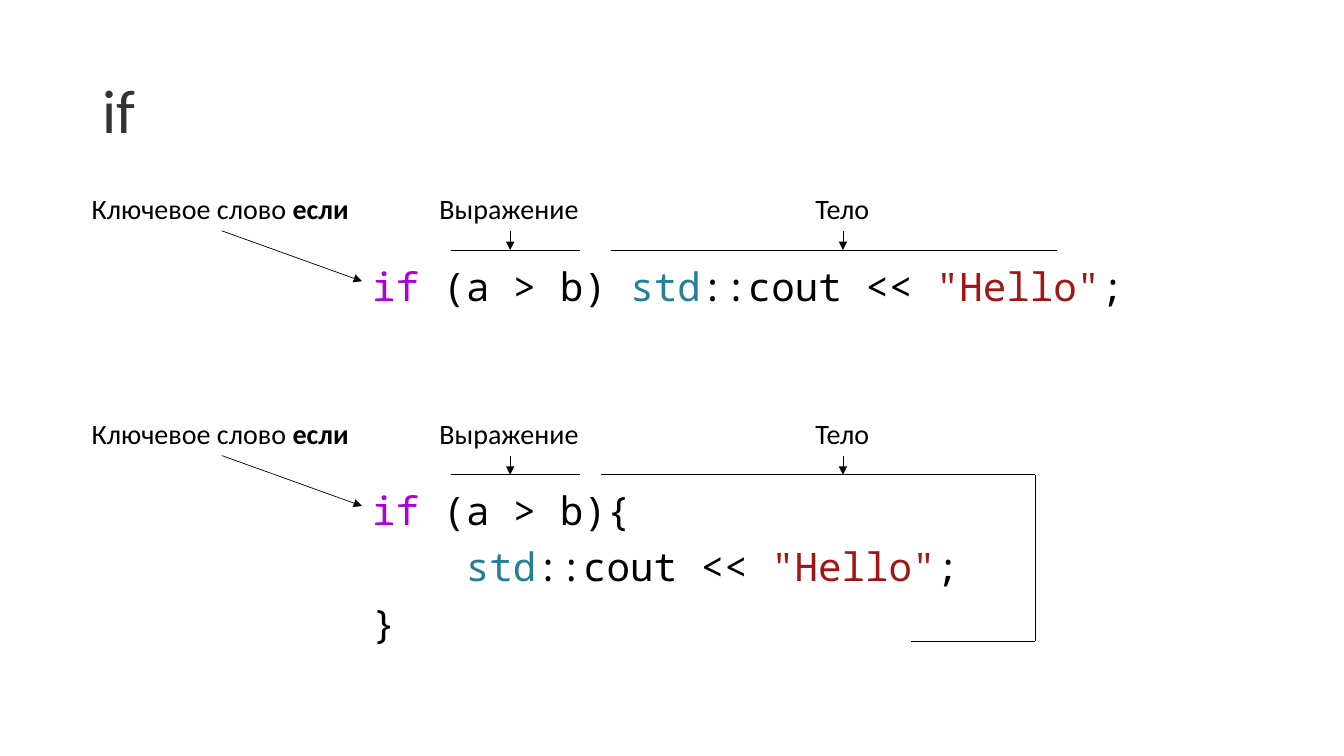
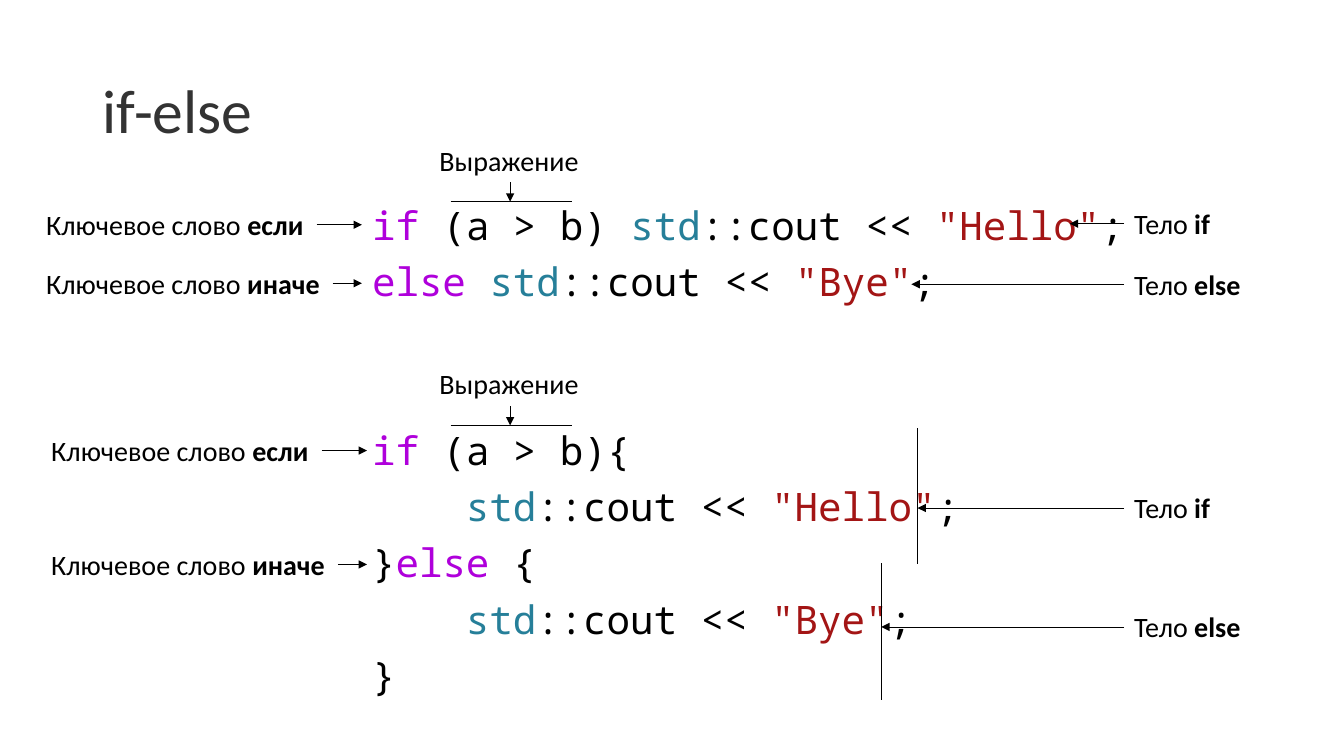
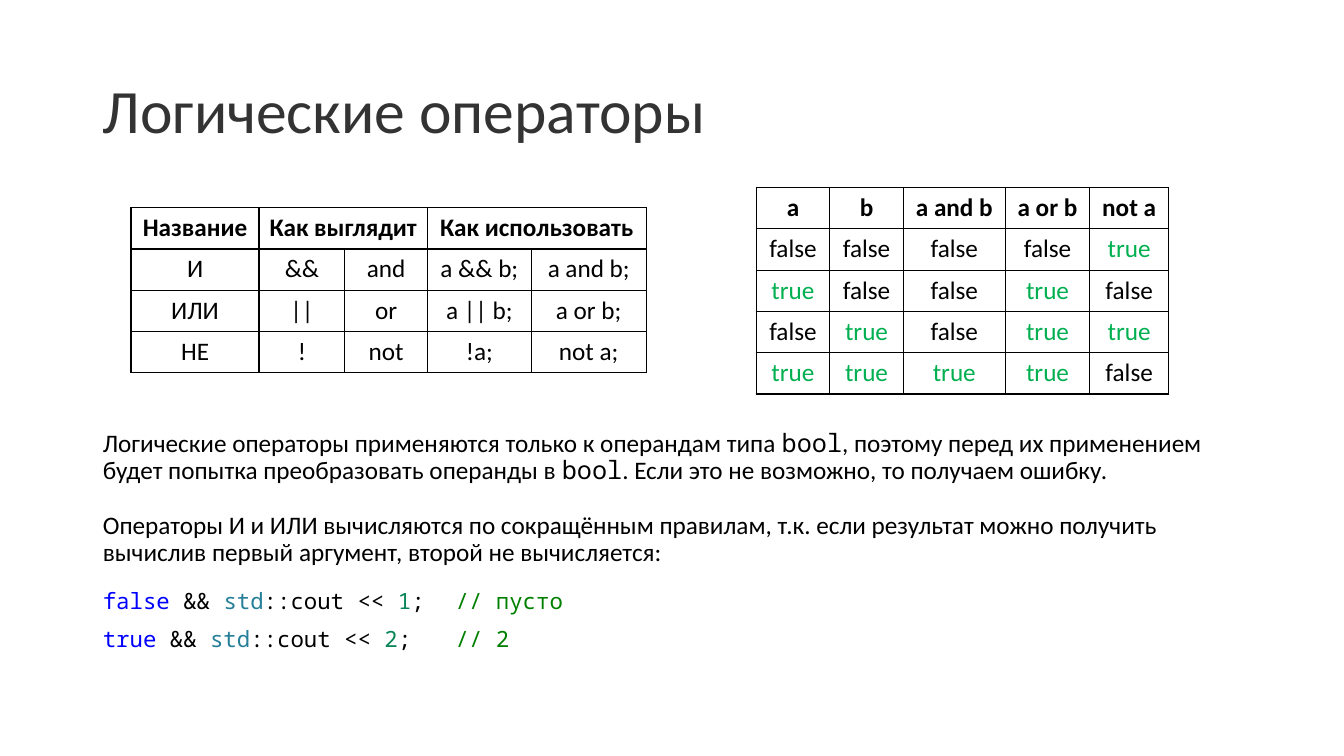
from dataclasses import dataclass

from lxml import etree
from pptx import Presentation
from pptx.dml.color import RGBColor
from pptx.enum import shapes as sh, text as tx
from pptx.oxml.ns import qn
from pptx.util import Inches, Pt

COLORS = {
    "ink": "000000", "title": "333333", "key": "AF00DB", "type": "267F99",
    "str": "A31515", "bool": "0000FF", "num": "098658", "note": "008000",
    "true": "00B050",
}
SANS, MONO = "Calibri", "Noto Sans Mono"
BOTTOM, LEFT, RIGHT = 2, 1, 3  # connection sites of a box
HIGH = 0.44  # label height
EXPR = 4.26  # left edge of the expression labels
TAB = 3.33  # column of the code comments
WIDTHS = {
    "Ключевое слово если": 2.78, "Ключевое слово иначе": 2.94,
    "Выражение": 1.6, "Тело": 0.74, "Тело if": 0.95, "Тело else": 1.26,
}


@dataclass
class Run:
    text: str
    color: str = "ink"
    font: str = MONO


@dataclass
class Line:
    runs: list[Run]
    size: float = 28
    before: float = 10
    after: float = 0
    indent: float = 0
    tab: float = 0


@dataclass
class Label:
    text: str
    bold: str
    left: float
    top: float
    side: int
    tip: tuple[float, float]


@dataclass
class Grid:
    left: float
    top: float
    cols: list[float]
    rows: list[list[str]]
    spans: list[int]  # header columns joined with the next one


# Text
def put(par, text: str, *, size: float, font: str = SANS,
        color: str = "ink", bold: bool = False) -> None:
    run = par.add_run()
    run.text = text
    run.font.size, run.font.name, run.font.bold = Pt(size), font, bold
    run.font.color.rgb = RGBColor.from_string(COLORS[color])


def place(shape, left: float, top: float, wide: float, high: float) -> None:
    shape.left, shape.top = Inches(left), Inches(top)
    shape.width, shape.height = Inches(wide), Inches(high)


def start(deck, title: str):
    slide = deck.slides.add_slide(deck.slide_layouts[1])
    head = slide.shapes.title
    place(head, 0.92, 0.4, 11.5, 1.45)
    head.text_frame.vertical_anchor = tx.MSO_ANCHOR.MIDDLE
    head.text_frame.auto_size = tx.MSO_AUTO_SIZE.NONE
    par = head.text_frame.paragraphs[0]
    par.alignment, par.line_spacing = tx.PP_ALIGN.LEFT, 0.9
    put(par, title, size=44, color="title")
    return slide


def fill(slide, left: float, top: float, lines: list[Line]) -> None:
    body = slide.placeholders[1]
    place(body, left, top, 12.42 - left, 6.76 - top)
    frame = body.text_frame
    frame.auto_size = tx.MSO_AUTO_SIZE.NONE
    for i, line in enumerate(lines):
        par = frame.add_paragraph() if i else frame.paragraphs[0]
        par.line_spacing = 0.9
        par.space_before, par.space_after = Pt(line.before), Pt(line.after)
        props = par._p.get_or_add_pPr()
        props.set("marL", str(Inches(line.indent)))
        props.set("indent", "0")
        etree.SubElement(props, qn("a:buNone"))
        if line.tab:
            stops = etree.SubElement(props, qn("a:tabLst"))
            etree.SubElement(stops, qn("a:tab"),
                             pos=str(Inches(line.tab)), algn="l")
        for run in line.runs:
            put(par, run.text, size=line.size, font=run.font, color=run.color)


# Lines and labels
def rule(slide, x1: float, y1: float, x2: float, y2: float,
         arrow: bool = False):
    wire = slide.shapes.add_connector(
        sh.MSO_CONNECTOR.STRAIGHT, *(Inches(v) for v in (x1, y1, x2, y2)))
    wire.line.color.rgb = RGBColor.from_string(COLORS["ink"])
    wire.line.width = Pt(0.5)
    if arrow:
        etree.SubElement(wire.line._get_or_add_ln(), qn("a:tailEnd"),
                         type="triangle")
    etree.SubElement(wire._element.spPr, qn("a:effectLst"))
    return wire


def point(slide, label: Label) -> None:
    wide = WIDTHS[label.text + label.bold]
    box = slide.shapes.add_textbox(*(
        Inches(v) for v in (label.left, label.top, wide, HIGH)))
    frame = box.text_frame
    frame.word_wrap = False
    frame.auto_size = tx.MSO_AUTO_SIZE.SHAPE_TO_FIT_TEXT
    par = frame.paragraphs[0]
    put(par, label.text, size=20)
    if label.bold:
        put(par, label.bold, size=20, bold=True)
    wire = rule(slide, label.left, label.top, *label.tip, arrow=True)
    wire.begin_connect(box, label.side)


def key(word: str, left: float, top: float, side: int,
        tip: tuple[float, float]) -> Label:
    return Label("Ключевое слово ", word, left, top, side, tip)


def expr(slide, top: float, end: float) -> None:
    base = top + 0.63
    point(slide, Label("Выражение", "", EXPR, top, BOTTOM, (EXPR + 0.8, base)))
    rule(slide, 4.47, base, end, base)


# Tables
def table(slide, grid: Grid) -> None:
    step = 0.41
    tab = slide.shapes.add_table(
        len(grid.rows), len(grid.cols), Inches(grid.left), Inches(grid.top),
        Inches(sum(grid.cols)), Inches(step * len(grid.rows))).table
    tab.first_row = tab.horz_banding = False
    for col, wide in zip(tab.columns, grid.cols):
        col.width = Inches(wide)
    for i, row in enumerate(grid.rows):
        tab.rows[i].height = Inches(step)
        for j, word in enumerate(row):
            cell = tab.cell(i, j)
            frame(cell)
            if word:
                par = cell.text_frame.paragraphs[0]
                par.alignment = tx.PP_ALIGN.CENTER
                put(par, word, size=18, bold=i == 0,
                    color="true" if word == "true" else "ink")
    for j in grid.spans:
        tab.cell(0, j).merge(tab.cell(0, j + 1))


def frame(cell) -> None:
    props = cell._tc.get_or_add_tcPr()
    for side in ("lnL", "lnR", "lnT", "lnB"):
        edge = etree.SubElement(props, qn("a:" + side), w=str(Pt(1)))
        paint = etree.SubElement(edge, qn("a:solidFill"))
        etree.SubElement(paint, qn("a:srgbClr"), val=COLORS["ink"])
    cell.fill.background()


# Code fragments
def cout(value: str, color: str = "str") -> list[Run]:
    return [Run("std", "type"), Run("::cout << "), Run(value, color), Run(";")]


def test(tail: str) -> list[Run]:
    return [Run("if", "key"), Run(" (a > b)" + tail)]


def inner(value: str) -> Line:
    return Line(cout(value), indent=0.93)


def demo(word: str, value: str, note: str) -> Line:
    runs = [Run(word, "bool"), Run(" && "), *cout(value, "num"),
            Run("\t" + note, "note")]
    return Line(runs, size=16, tab=TAB)


# Slides
def plain(deck) -> None:
    slide = start(deck, "if")
    fill(slide, 3.59, 2.6, [
        Line(test(" ") + cout('"Hello"')),
        Line(test("{"), before=130),
        inner('"Hello"'),
        Line([Run("}")]),
    ])
    for top in (1.85, 4.08):
        point(slide, key("если", 0.81, top, BOTTOM, (3.59, top + 0.94)))
        expr(slide, top, 5.75)
        point(slide, Label("Тело", "", 7.99, top, BOTTOM, (8.36, top + 0.63)))
    rule(slide, 6.06, 2.48, 10.48, 2.48)
    # Bracket around the block
    rule(slide, 5.96, 4.71, 10.27, 4.71)
    rule(slide, 10.27, 4.71, 10.27, 6.36)
    rule(slide, 10.27, 6.36, 9.04, 6.36)


def branch(deck) -> None:
    slide = start(deck, "if-else")
    fill(slide, 3.59, 2, [
        Line(test(" ") + cout('"Hello"')),
        Line([Run("else ", "key"), *cout('"Bye"')]),
        Line(test("{"), before=90),
        inner('"Hello"'),
        Line([Run("}"), Run("else", "key"), Run(" {")]),
        inner('"Bye"'),
        Line([Run("}")]),
    ])
    for top in (1.37, 3.59):
        expr(slide, top, 5.67)
    for word, left, top, tip in (
            ("если", 0.36, 2.01, 3.59), ("иначе", 0.36, 2.59, 3.59),
            ("если", 0.41, 4.25, 3.64), ("иначе", 0.41, 5.38, 3.64)):
        point(slide, key(word, left, top, RIGHT, (tip, top + HIGH / 2)))
    for word, top, tip in (("if", 2, 10.61), ("else", 2.6, 9.04),
                           ("if", 4.82, 9.1), ("else", 6, 8.74)):
        point(slide, Label("Тело ", word, 11.15, top, LEFT,
                           (tip, top + HIGH / 2)))
    for x, top in ((9.1, 4.25), (8.74, 5.59)):
        rule(slide, x, top, x, top + 1.35)


def logic(deck) -> None:
    slide = start(deck, "Логические операторы")
    fill(slide, 0.92, 4.22, [
        Line([
            Run("Логические операторы применяются только к операндам типа ",
                font=SANS),
            Run("bool"),
            Run(", поэтому перед их применением будет попытка преобразовать "
                "операнды в ", font=SANS),
            Run("bool"),
            Run(". Если это не возможно, то получаем ошибку.", font=SANS),
        ], size=18),
        Line([Run("Операторы И и ИЛИ вычисляются по сокращённым правилам, "
                  "т.к. если результат можно получить вычислив первый "
                  "аргумент, второй не вычисляется:", font=SANS)],
             size=18, before=20, after=6),
        demo("false", "1", "// пусто"),
        demo("true", "2", "// 2"),
    ])
    table(slide, Grid(1.3, 2.06, [1.27, 0.85, 0.82, 1.03, 1.14], [
        ["Название", "Как выглядит", "", "Как использовать", ""],
        ["И", "&&", "and", "a && b;", "a and b;"],
        ["ИЛИ", "||", "or", "a || b;", "a or b;"],
        ["НЕ", "!", "not", "!a;", "not a;"],
    ], [1, 3]))
    rows = [["a", "b", "a and b", "a or b", "not a"]]
    for b in (False, True):
        for a in (False, True):
            rows.append([str(v).lower()
                         for v in (a, b, a and b, a or b, not a)])
    table(slide, Grid(7.5, 1.86, [0.73, 0.73, 1.01, 0.84, 0.78], rows, []))


def main() -> None:
    deck = Presentation()
    deck.slide_width, deck.slide_height = Inches(13.33), Inches(7.5)
    for build in (plain, branch, logic):
        build(deck)
    deck.save("out.pptx")


if __name__ == "__main__":
    main()
